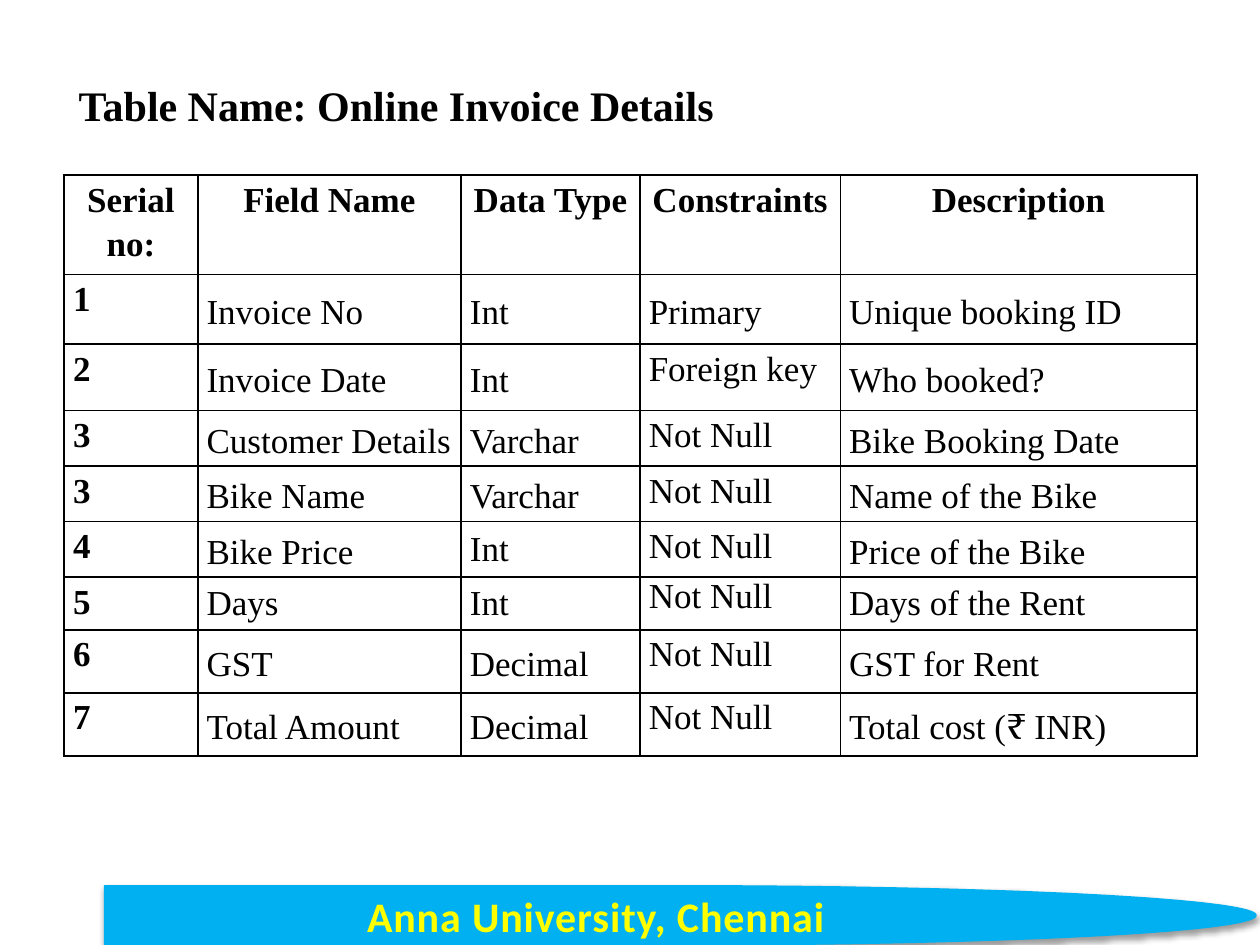
from lxml.etree import SubElement
from pptx import Presentation
from pptx.dml.color import RGBColor
from pptx.enum.shapes import MSO_SHAPE
from pptx.enum.text import MSO_ANCHOR, MSO_AUTO_SIZE, PP_ALIGN
from pptx.oxml import parse_xml
from pptx.oxml.ns import nsdecls, qn
from pptx.util import Inches, Pt

BLACK = RGBColor(0x00, 0x00, 0x00)
WHITE = RGBColor(0xFF, 0xFF, 0xFF)
SKY_BLUE = RGBColor(0x00, 0xB0, 0xF0)
YELLOW = RGBColor(0xFF, 0xFF, 0x00)
ORANGE = RGBColor(0xE7, 0x87, 0x38)

SERIF = "Times New Roman"
COLUMN_WIDTHS = [1.06, 2.09, 1.42, 1.59, 2.83]
ROW_HEIGHTS = [0.79, 0.55, 0.53, 0.44, 0.44, 0.44, 0.42, 0.5, 0.5]
FIELDS = [
    ["Serial no:", "Field Name", "Data Type", "Constraints", "Description"],
    ["1", "Invoice No", "Int", "Primary", "Unique booking ID"],
    ["2", "Invoice Date", "Int", "Foreign key", "Who booked?"],
    ["3", "Customer Details", "Varchar", "Not Null", "Bike Booking Date"],
    ["3", "Bike Name", "Varchar", "Not Null", "Name of the Bike"],
    ["4", "Bike Price", "Int", "Not Null", "Price of the Bike"],
    ["5", "Days", "Int", "Not Null", "Days of the Rent"],
    ["6", "GST", "Decimal", "Not Null", "GST for Rent"],
    ["7", "Total Amount", "Decimal", "Not Null", "Total cost (₹ INR)"],
]
SINGLE_SPACED = {(5, 2), (6, 1), (6, 2), (6, 3), (6, 4)}


def set_font(paragraph, name, size, color, bold):
    font = paragraph.font
    font.name = name
    font.size = Pt(size)
    font.bold = bold
    font.color.rgb = color


def add_title(slide, text):
    title = slide.shapes.title
    title.left, title.top = Inches(0.37), Inches(0.58)
    title.width, title.height = Inches(5.55), Inches(0.5)
    frame = title.text_frame
    frame.text = text
    frame.word_wrap = True
    frame.auto_size = MSO_AUTO_SIZE.SHAPE_TO_FIT_TEXT
    frame.vertical_anchor = MSO_ANCHOR.TOP
    heading = frame.paragraphs[0]
    heading.alignment = PP_ALIGN.CENTER
    set_font(heading, SERIF, 24, BLACK, True)


def add_line(parent, tag, color, width):
    line = SubElement(parent, qn(tag), w=str(Pt(width)))
    fill = SubElement(line, qn("a:solidFill"))
    SubElement(fill, qn("a:srgbClr"), val=str(color))
    return line


def format_cell(cell, row, column):
    is_header = row == 0
    cell.margin_left = cell.margin_right = Inches(0.07)
    cell.margin_top = cell.margin_bottom = 0
    at_top = is_header or column == 0 or (column == 3 and row > 1)
    cell.vertical_anchor = MSO_ANCHOR.TOP if at_top else MSO_ANCHOR.MIDDLE
    for side in "LRTB":
        add_line(cell._tc.get_or_add_tcPr(), f"a:ln{side}", BLACK, 1)
    cell.fill.solid()
    cell.fill.fore_color.rgb = WHITE
    entry = cell.text_frame.paragraphs[0]
    entry.alignment = PP_ALIGN.CENTER if is_header else PP_ALIGN.LEFT
    entry.line_spacing = 1.0 if (row, column) in SINGLE_SPACED else 1.15
    set_font(entry, SERIF, 20, BLACK, is_header or column == 0)


def add_field_table(slide):
    table = slide.shapes.add_table(
        len(FIELDS), len(COLUMN_WIDTHS), Inches(0.51), Inches(1.39),
        Inches(sum(COLUMN_WIDTHS)), Inches(sum(ROW_HEIGHTS))).table
    table.horz_banding = False
    for column, width in zip(table.columns, COLUMN_WIDTHS):
        column.width = Inches(width)
    for row, height in zip(table.rows, ROW_HEIGHTS):
        row.height = Inches(height)
    for r, entries in enumerate(FIELDS):
        for c, text in enumerate(entries):
            cell = table.cell(r, c)
            cell.text = text
            format_cell(cell, r, c)


def add_soft_shadow(shape):
    shape._element.spPr.append(parse_xml(
        f'<a:effectLst {nsdecls("a")}>'
        f'<a:outerShdw blurRad="{Pt(3.1)}" dist="{Pt(1.6)}" dir="5400000" rotWithShape="0">'
        '<a:srgbClr val="000000"><a:alpha val="38000"/></a:srgbClr>'
        '</a:outerShdw></a:effectLst>'))


def add_footer(slide, text):
    banner = slide.shapes.add_shape(
        MSO_SHAPE.FLOWCHART_DELAY,
        Inches(0.83), Inches(7.03), Inches(9.14), Inches(0.47))
    banner.fill.solid()
    banner.fill.fore_color.rgb = SKY_BLUE
    banner.line.color.rgb = SKY_BLUE
    banner.line.width = Pt(0.75)
    add_soft_shadow(banner)
    frame = banner.text_frame
    frame.text = text
    frame.vertical_anchor = MSO_ANCHOR.MIDDLE
    university = frame.paragraphs[0]
    university.alignment = PP_ALIGN.CENTER
    set_font(university, "Calibri", 24, YELLOW, True)
    lettering = university.runs[0]._r.get_or_add_rPr()
    lettering.set("spc", "50")
    add_line(lettering, "a:ln", ORANGE, 1)


def main():
    presentation = Presentation()
    presentation.slide_width = Inches(10)
    presentation.slide_height = Inches(7.5)
    slide = presentation.slides.add_slide(presentation.slide_layouts[5])
    add_footer(slide, "Anna University, Chennai")
    add_field_table(slide)
    add_title(slide, "Table Name: Online Invoice Details")
    presentation.save("out.pptx")


if __name__ == "__main__":
    main()
